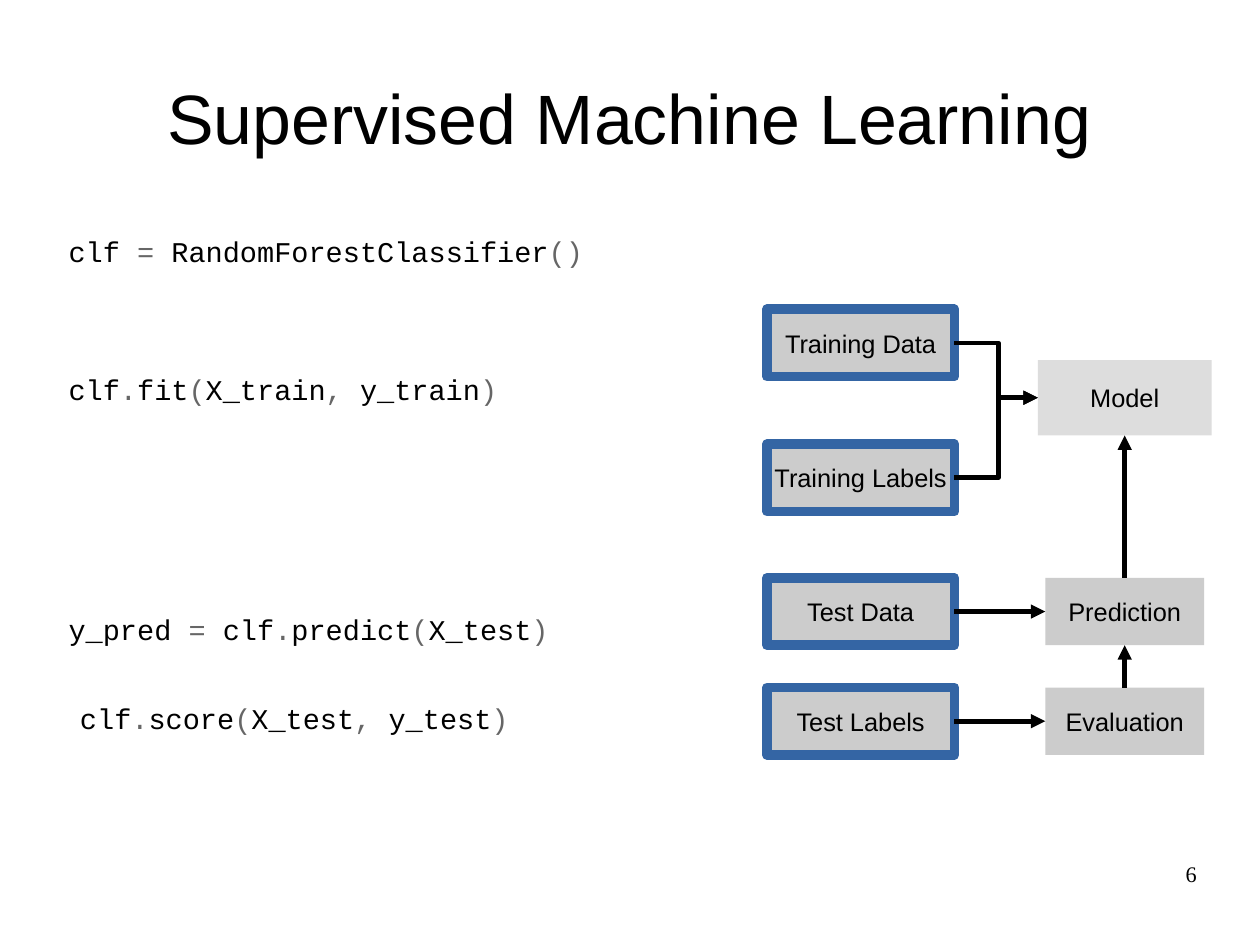
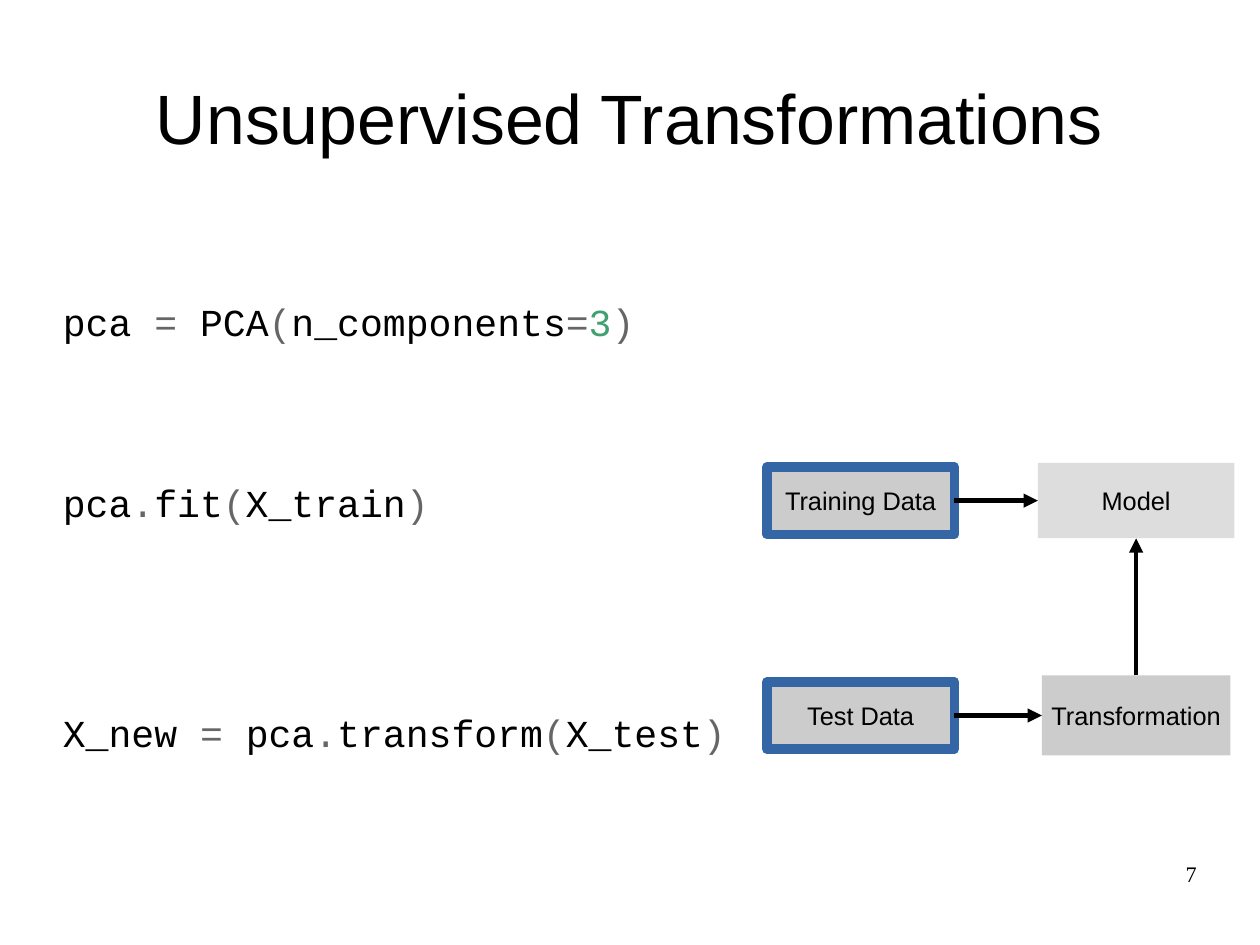
from itertools import groupby

from lxml.etree import SubElement
from pptx import Presentation
from pptx.dml.color import RGBColor
from pptx.enum.shapes import MSO_CONNECTOR as Connector, MSO_SHAPE as Shape
from pptx.enum.text import MSO_ANCHOR as Anchor, PP_ALIGN as Align
from pptx.oxml.ns import qn
from pptx.util import Cm, Inches, Pt

BLACK, GRAY, GREEN, BLUE = "000000", "666666", "40A070", "3465A4"
TITLE = {"font": "Arial", "size": 44, "align": Align.CENTER, "anchor": Anchor.MIDDLE}
LABEL = {"font": "Arial", "size": 16, "align": Align.CENTER, "anchor": Anchor.MIDDLE}
NUMBER = {"font": "Times New Roman", "size": 14, "align": Align.RIGHT, "anchor": Anchor.TOP}
CODE = {"font": "Courier New", "align": Align.LEFT, "anchor": Anchor.TOP}

TOP, LEFT, BOTTOM, RIGHT = range(4)
ELBOW_BEND = 52900
DATA_X, DATA_SIZE = 7.53, (1.64, 0.59)
STEP_SIZE = (1.39, 0.59)

SLIDES = [
    {
        "title": "Supervised Machine Learning",
        "number": "6",
        "code_size": 18,
        "code": [
            ((0.6, 2.05, 5.9, 3.42), [
                ("clf = RandomForestClassifier()", 0),
                ("clf.fit(X_train, y_train)", 65.2),
                ("y_pred = clf.predict(X_test)", 129.5),
            ]),
            ((0.7, 6.13, 9.4, 1), [("clf.score(X_test, y_test)", 0)]),
        ],
        "data": {"Training Data": 3, "Training Labels": 4.18, "Test Data": 5.35, "Test Labels": 6.31},
        "step_x": 9.84,
        "steps": {
            "Model": (3.48, (1.52, 0.66), "DDDDDD"),
            "Prediction": (5.35, STEP_SIZE, "CCCCCC"),
            "Evaluation": (6.31, STEP_SIZE, "CCCCCC"),
        },
        "inputs": [
            ("Training Data", "Model"),
            ("Training Labels", "Model"),
            ("Test Data", "Prediction"),
            ("Test Labels", "Evaluation"),
        ],
        "upward": [("Prediction", "Model"), ("Evaluation", "Prediction")],
    },
    {
        "title": "Unsupervised Transformations",
        "number": "7",
        "code_size": 24,
        "code": [
            ((0.55, 2.61, 8.85, 4.1), [
                ("pca = PCA(n_components=3)", 0),
                ("pca.fit(X_train)", 85.6),
                ("X_new = pca.transform(X_test)", 115.8),
            ]),
        ],
        "data": {"Training Data": 4.38, "Test Data": 6.26},
        "step_x": 9.94,
        "steps": {
            "Model": (4.38, (1.72, 0.66), "DDDDDD"),
            "Transformation": (6.26, (1.65, 0.7), "CCCCCC"),
        },
        "inputs": [("Training Data", "Model"), ("Test Data", "Transformation")],
        "upward": [("Transformation", "Model")],
    },
]


def rgb(value):
    """Turn a hex string into a colour."""
    return RGBColor.from_string(value)


def code_color(character):
    """Choose the syntax colour of one character."""
    if character.isdigit():
        return GREEN
    return GRAY if character in "=.,()" else BLACK


def write(shape, lines, style, wrap=True):
    """Fill a shape with lines of (coloured runs, space before)."""
    frame = shape.text_frame
    settings = {"word_wrap": wrap, "vertical_anchor": style["anchor"], "margin_left": 0,
                "margin_right": 0, "margin_top": 0, "margin_bottom": 0}
    for name, value in settings.items():
        setattr(frame, name, value)
    for index, (runs, space) in enumerate(lines):
        paragraph = frame.add_paragraph() if index else frame.paragraphs[0]
        paragraph.alignment = style["align"]
        paragraph.space_before = Pt(space)
        for text, color in runs:
            run = paragraph.add_run()
            run.text = text
            run.font.name, run.font.size = style["font"], Pt(style["size"])
            run.font.color.rgb = rgb(color)


def add_text(slide, box, lines, style):
    """Add a text box."""
    write(slide.shapes.add_textbox(*map(Inches, box)), lines, style)


def add_node(slide, label, center, size, fill, border=None):
    """Add a labelled rectangle around its centre."""
    (x, y), (width, height) = center, size
    box = (x - width / 2, y - height / 2, width, height)
    shape = slide.shapes.add_shape(Shape.RECTANGLE, *map(Inches, box))
    shape.shadow.inherit = False
    shape.fill.solid()
    shape.fill.fore_color.rgb = rgb(fill)
    if border:
        draw_line(shape.line, border, 6)
    else:
        shape.line.fill.background()
    write(shape, [([(label, BLACK)], 0)], LABEL, wrap=False)
    return shape


def draw_line(line, color, width):
    """Give a line its colour, width and round corners."""
    line.color.rgb = rgb(color)
    line.width = Pt(width)
    return SubElement(line._get_or_add_ln(), qn("a:round"))


def add_arrow(slide, start, start_side, end, end_side):
    """Join two rectangles, with an elbow where they are not in line."""
    offset = abs(start.top + start.height / 2 - end.top - end.height / 2)
    straight = start_side == TOP or offset < Inches(0.01)
    kind = Connector.STRAIGHT if straight else Connector.ELBOW
    arrow = slide.shapes.add_connector(kind, 0, 0, 0, 0)
    arrow.begin_connect(start, start_side)
    arrow.end_connect(end, end_side)
    corners = draw_line(arrow.line, BLACK, 3)
    SubElement(corners.getparent(), qn("a:tailEnd"), type="triangle")
    properties = arrow._element.spPr
    SubElement(properties, qn("a:effectLst"))
    if not straight:
        adjustments = properties.find(qn("a:prstGeom")).find(qn("a:avLst"))
        SubElement(adjustments, qn("a:gd"), name="adj1", fmla=f"val {ELBOW_BEND}")


def build_slide(presentation, content):
    """Add one slide with its code and diagram."""
    slide = presentation.slides.add_slide(presentation.slide_layouts[6])
    add_text(slide, (0.55, 0.33, 9.92, 1.38), [([(content["title"], BLACK)], 0)], TITLE)
    add_text(slide, (7.9, 7.53, 2.57, 0.57), [([(content["number"], BLACK)], 0)], NUMBER)
    for box, code in content["code"]:
        lines = [
            ([("".join(group), color) for color, group in groupby(text, code_color)], space)
            for text, space in code
        ]
        add_text(slide, box, lines, {**CODE, "size": content["code_size"]})
    nodes = {}
    for label, y in content["data"].items():
        nodes[label] = add_node(slide, label, (DATA_X, y), DATA_SIZE, "CCCCCC", BLUE)
    for label, (y, size, fill) in content["steps"].items():
        nodes[label] = add_node(slide, label, (content["step_x"], y), size, fill)
    for start, end in content["inputs"]:
        add_arrow(slide, nodes[start], RIGHT, nodes[end], LEFT)
    for start, end in content["upward"]:
        add_arrow(slide, nodes[start], TOP, nodes[end], BOTTOM)


def main():
    """Build and save the presentation."""
    presentation = Presentation()
    presentation.slide_width, presentation.slide_height = Cm(28), Cm(21)
    for content in SLIDES:
        build_slide(presentation, content)
    presentation.save("out.pptx")


if __name__ == "__main__":
    main()
